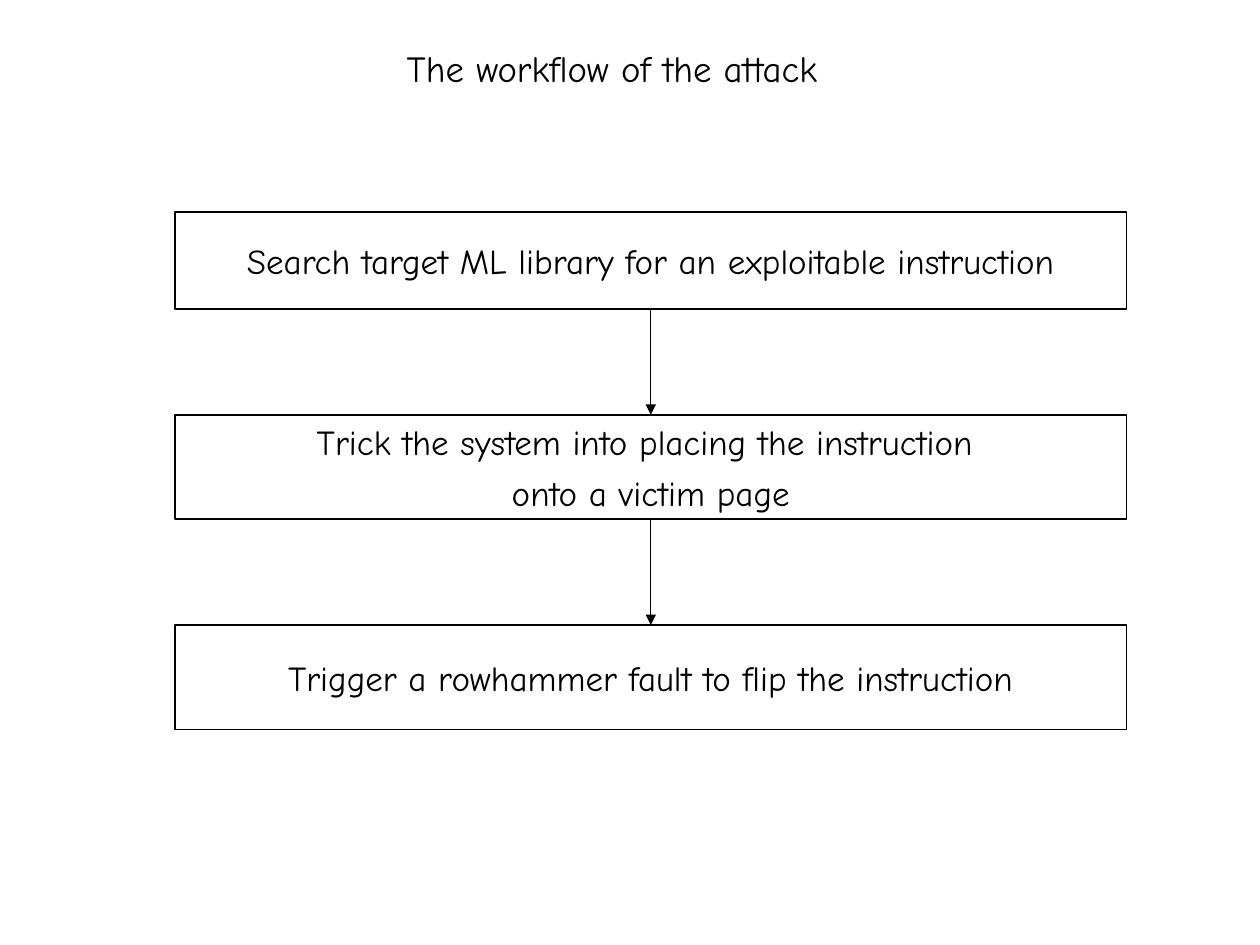
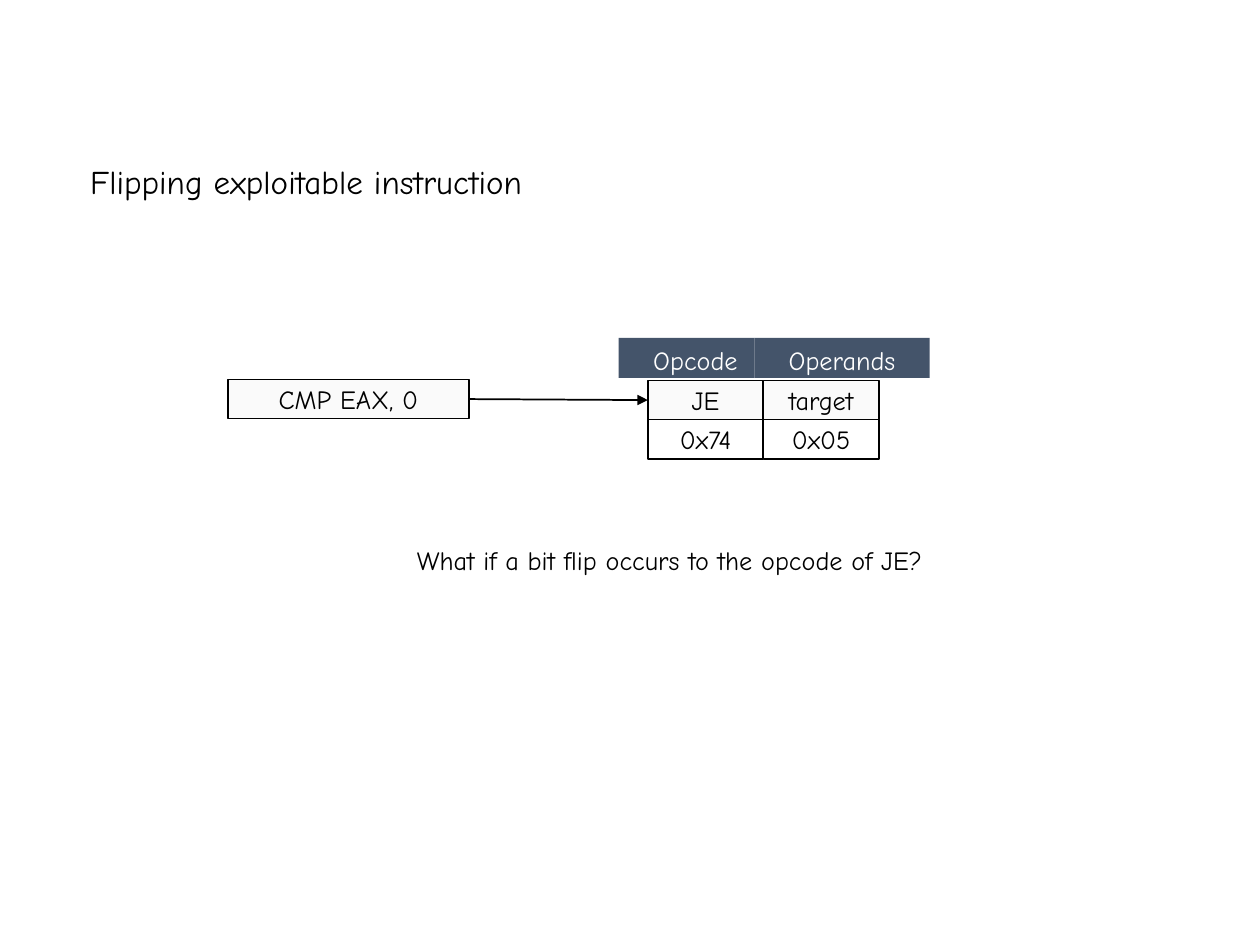
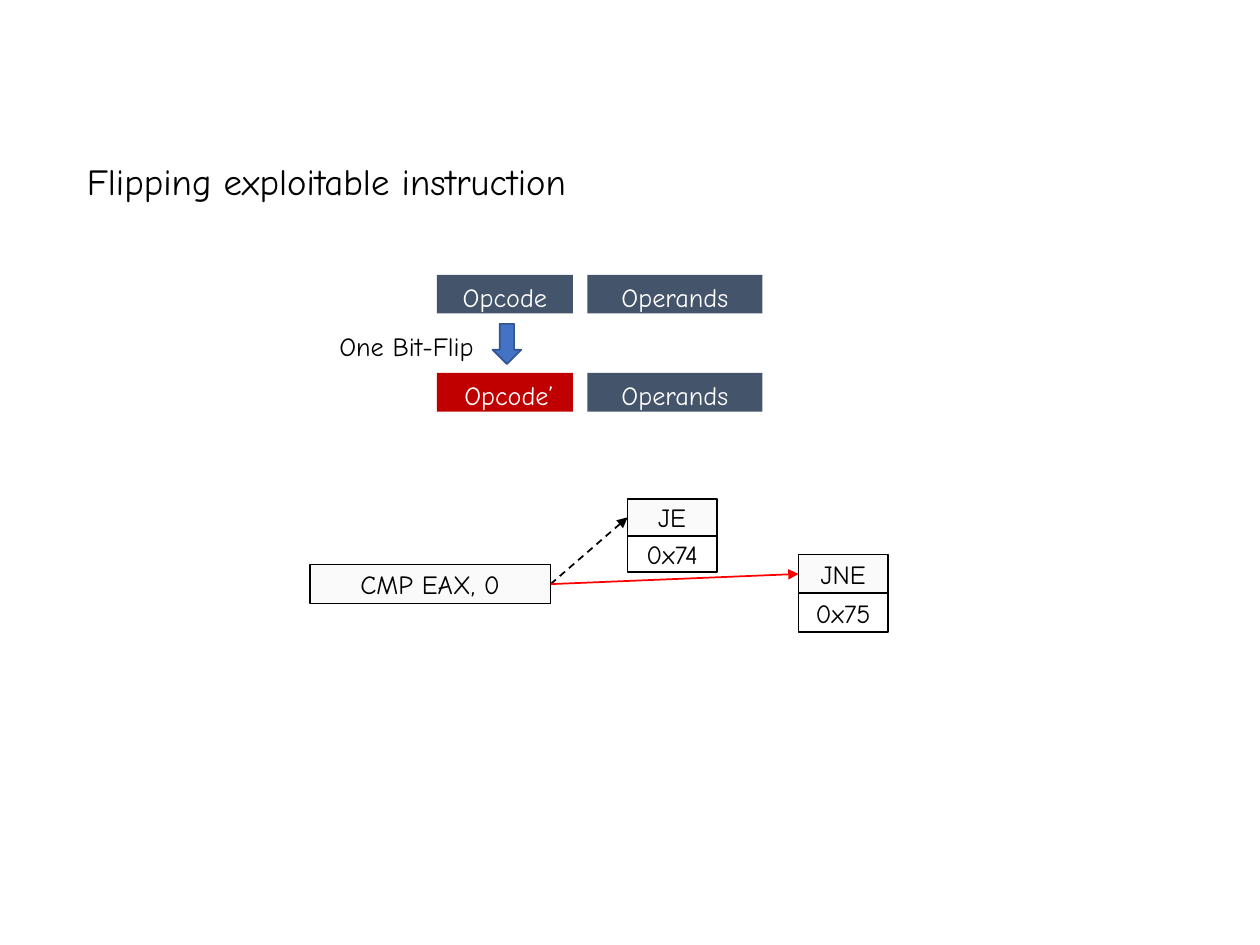
from dataclasses import dataclass

from pptx import Presentation
from pptx import util as u
from pptx.dml import color
from pptx.enum import dml, shapes, text
from pptx.oxml import ns, xmlchemy

FONT = "Comic Neue"
BLACK, WHITE, RED = "000000", "FFFFFF", "FF0000"
SLATE, CRIMSON, PALE = "44546A", "C00000", "FAFAFA"
ARROW_BLUE, ARROW_EDGE = "4472C4", "325491"
TOP, LEFT, BOTTOM, RIGHT = range(4)
LABEL_HEIGHT = 0.89
OPCODE_WIDTH, OPERANDS_WIDTH = 2.74, 3.53

TITLE = {"size": 21, "line_spacing": 0.9, "align": text.PP_ALIGN.LEFT,
         "frame": {"vertical_anchor": text.MSO_ANCHOR.MIDDLE}}
LABEL = {"size": 15, "frame": {"auto_size": text.MSO_AUTO_SIZE.SHAPE_TO_FIT_TEXT}}
CELL = {"size": 15, "frame": {"vertical_anchor": text.MSO_ANCHOR.MIDDLE}}
STEP = {**CELL, "size": 20}
TIGHT = {"margin_left": u.Cm(0.18), "margin_right": u.Cm(0.18),
         "margin_top": u.Cm(0.1), "margin_bottom": u.Cm(0.1)}


@dataclass
class Box:
    left: float
    top: float
    width: float
    height: float

    def inner(self, left, top, width, height):
        return Box(self.left + left, self.top + top, width, height)

    def lengths(self):
        return [u.Cm(value) for value in (self.left, self.top, self.width, self.height)]


def rgb(value):
    return color.RGBColor.from_string(value)


def set_values(target, values):
    for name, value in values.items():
        setattr(target, name, value)


def write(shape, lines, style, font_color=BLACK):
    frame = shape.text_frame
    set_values(frame, {"word_wrap": True, **style["frame"]})
    for index, line in enumerate(lines):
        paragraph = frame.paragraphs[0] if index == 0 else frame.add_paragraph()
        set_values(paragraph, {
            "alignment": style.get("align", text.PP_ALIGN.CENTER),
            "line_spacing": style.get("line_spacing"),
            "space_before": u.Pt(5 if index else 0),
        })
        run = paragraph.add_run()
        run.text = line
        set_values(run.font, {"name": FONT, "size": u.Pt(style["size"])})
        run.font.color.rgb = rgb(font_color)


def add_label(slide, box, line, style=LABEL, font_color=BLACK):
    write(slide.shapes.add_textbox(*box.lengths()), [line], style, font_color)


def add_block(slide, box, fill=None, edge=None, kind=shapes.MSO_SHAPE.RECTANGLE):
    shape = slide.shapes.add_shape(kind, *box.lengths())
    shape.shadow.inherit = False
    if fill:
        shape.fill.solid()
        shape.fill.fore_color.rgb = rgb(fill)
    else:
        shape.fill.background()
    if edge:
        shape.line.color.rgb = rgb(edge)
        shape.line.width = u.Pt(1)
    else:
        shape.line.fill.background()
    return shape


def add_cell(slide, box, lines, fill=None, style=CELL):
    shape = add_block(slide, box, fill, BLACK)
    write(shape, lines, style)
    return shape


def add_arrow(slide, start, start_side, end, end_side, line_color=BLACK, width=1, dash=None):
    connector = slide.shapes.add_connector(shapes.MSO_CONNECTOR.STRAIGHT, 0, 0, 0, 0)
    connector.begin_connect(start, start_side)
    connector.end_connect(end, end_side)
    connector.line.color.rgb = rgb(line_color)
    set_values(connector.line, {"width": u.Pt(width), "dash_style": dash})
    head = xmlchemy.OxmlElement("a:tailEnd")
    head.set("type", "triangle")
    properties = connector.element.find(ns.qn("p:spPr"))
    properties.find(ns.qn("a:ln")).append(head)
    properties.append(xmlchemy.OxmlElement("a:effectLst"))


def add_workflow(slide, box, steps, gap):
    previous, top = None, 0
    for height, lines in steps:
        step = add_cell(slide, box.inner(0, top, box.width, height), lines, WHITE, STEP)
        if previous:
            add_arrow(slide, previous, BOTTOM, step, TOP, width=0.5)
        previous, top = step, top + height + gap


def add_header(slide, box, opcode, opcode_fill=SLATE, gap=0, shift=0):
    operands_left = OPCODE_WIDTH + gap
    add_block(slide, box.inner(0, 0, OPCODE_WIDTH, box.height), opcode_fill)
    add_block(slide, box.inner(operands_left, 0, OPERANDS_WIDTH, box.height), SLATE)
    add_label(slide, box.inner(shift, 0, OPCODE_WIDTH, LABEL_HEIGHT), opcode, font_color=WHITE)
    add_label(slide, box.inner(operands_left, 0, OPERANDS_WIDTH, LABEL_HEIGHT),
              "Operands", font_color=WHITE)


def add_code_column(slide, box, name, code):
    row = box.height / 2
    top_cell = add_cell(slide, box.inner(0, 0, box.width, row), [name], PALE)
    add_cell(slide, box.inner(0, row, box.width, row), [code])
    return top_cell


def add_compare(slide, left, top):
    return add_cell(slide, Box(left, top, 4.85, 0.79), ["CMP EAX, 0"], PALE)


def add_bit_flip(slide, box):
    gap, band = 0.29, 0.78
    add_header(slide, box.inner(0, 0, box.width, band), "Opcode", gap=gap)
    add_header(slide, box.inner(0, box.height - band, box.width, band),
               "Opcode’", CRIMSON, gap, 0.08)
    add_block(slide, box.inner(1.12, 0.99, 0.58, 0.81), ARROW_BLUE, ARROW_EDGE,
              shapes.MSO_SHAPE.DOWN_ARROW)
    add_label(slide, box.inner(-2.38, 0.99, 3.53, LABEL_HEIGHT), "One Bit-Flip")


def build_workflow_slide(slide):
    add_label(slide, Box(7.95, 0.53, 10.36, 1.78), "The workflow of the attack", TITLE)
    add_workflow(slide, Box(3.53, 4.27, 19.18, 10.44), [
        (1.96, ["Search target ML library for an exploitable instruction"]),
        (2.11, ["Trick the system into placing the instruction ", "onto a victim page"]),
        (2.11, ["Trigger a rowhammer fault to flip the instruction"]),
    ], 2.13)


def add_flipping_title(slide, style):
    add_label(slide, Box(1.57, 2.82, 11.07, 1.78), "Flipping exploitable instruction", style)


def build_instruction_slide(slide):
    add_flipping_title(slide, {**TITLE, "size": 18.9})
    add_header(slide, Box(12.47, 6.81, 6.27, 0.81), "Opcode", shift=0.18)
    table = Box(13.06, 7.67, 4.66, 1.58)
    column = table.width / 2
    add_code_column(slide, table.inner(column, 0, column, table.height), "target", "0x05")
    jump = add_code_column(slide, table.inner(0, 0, column, table.height), "JE", "0x74")
    add_arrow(slide, add_compare(slide, 4.6, 7.65), RIGHT, jump, LEFT)
    add_label(slide, Box(7.75, 10.74, 11.5, 0.91),
              "What if a bit flip occurs to the opcode of JE?",
              {**LABEL, "line_spacing": 1.2, "frame": {**LABEL["frame"], **TIGHT}})


def build_flipped_slide(slide):
    add_flipping_title(slide, {**TITLE, "frame": {**TITLE["frame"], **TIGHT}})
    add_bit_flip(slide, Box(8.81, 5.54, 6.56, 2.76))
    jump = add_code_column(slide, Box(12.65, 10.06, 1.8, 1.48), "JE", "0x74")
    flipped = add_code_column(slide, Box(16.1, 11.18, 1.8, 1.56), "JNE", "0x75")
    compare = add_compare(slide, 6.25, 11.38)
    add_arrow(slide, compare, RIGHT, jump, LEFT, dash=dml.MSO_LINE.DASH)
    add_arrow(slide, compare, RIGHT, flipped, LEFT, RED)


def main():
    presentation = Presentation()
    set_values(presentation, {"slide_width": u.Cm(25.4), "slide_height": u.Cm(19.05)})
    for build in (build_workflow_slide, build_instruction_slide, build_flipped_slide):
        build(presentation.slides.add_slide(presentation.slide_layouts[6]))
    presentation.save("out.pptx")


if __name__ == "__main__":
    main()
